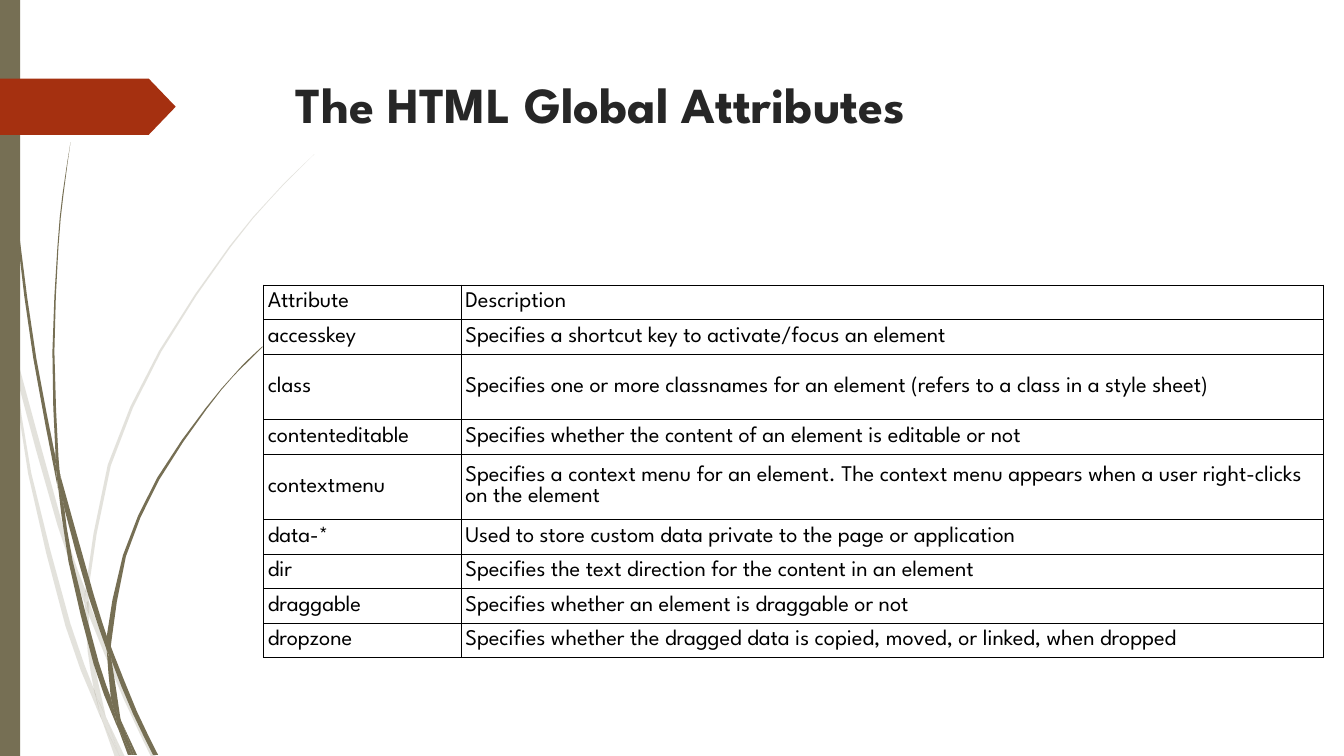
from pptx import Presentation
from pptx.dml.color import RGBColor
from pptx.enum.shapes import MSO_SHAPE
from pptx.enum.text import MSO_ANCHOR, PP_ALIGN
from pptx.oxml.ns import qn
from pptx.util import Cm, Pt
from lxml.etree import SubElement

OLIVE = RGBColor(0x76, 0x6F, 0x54)
RED = RGBColor(0xA5, 0x30, 0x10)
DARK = RGBColor(0x26, 0x26, 0x26)
BLACK = RGBColor(0, 0, 0)
FONT = "League Spartan"

# Each piece of grass has an edge out and an edge back, on a grid 750 units high
PALE_GRASS = [
    ([(0, 299), (10, 344), (11, 350)], [(8, 322), (0, 282)]),
    ([(14, 345), (17, 376), (57, 521), (84, 599)], [(85, 586), (62, 520), (14, 345)]),
    ([(88, 596), (88, 610), (123, 694), (150, 751)], [(155, 751), (127, 692), (92, 607)]),
    ([(105, 711), (119, 751)], [(124, 751), (105, 711)]),
    ([(11, 350), (28, 470), (65, 621), (92, 693), (101, 714)],
     [(99, 707), (93, 683), (70, 619), (31, 469), (17, 376)]),
    ([(84, 599), (87, 646), (93, 683), (96, 692), (105, 711)],
     [(104, 706), (91, 646), (88, 610), (88, 608)]),
    ([(312, 153), (289, 175), (268, 197), (228, 244), (158, 348), (107, 461), (85, 584),
      (85, 586), (88, 596)],
     [(88, 584), (110, 462), (160, 349), (229, 245), (268, 198), (290, 175), (312, 153)]),
    ([(101, 714), (114, 751)], [(119, 751), (101, 714)]),
    ([(85, 586), (84, 599), (88, 608)], [(88, 610), (88, 596)]),
    ([(93, 683), (99, 707), (101, 714), (119, 751)], [(119, 751), (105, 711), (96, 692)]),
]
DARK_GRASS = [
    ([(3, 0), (3, 48), (7, 110), (17, 233), (33, 355), (56, 477), (57, 481)],
     [(55, 457), (55, 453), (36, 355), (19, 232), (8, 109), (5, 48), (3, 0)]),
    ([(60, 472), (64, 505), (88, 592), (106, 645)], [(106, 633), (106, 631), (93, 590), (60, 472)]),
    ([(110, 641), (111, 656), (132, 708), (152, 749)], [(157, 749), (136, 706), (113, 649)]),
    ([(57, 477), (68, 557), (93, 659), (111, 708), (117, 722)],
     [(116, 717), (110, 692), (98, 657), (72, 556), (64, 505)]),
    ([(70, 141), (62, 193), (57, 245), (52, 349), (55, 449), (60, 471)],
     [(60, 472), (58, 453), (54, 349), (58, 245), (63, 193), (70, 141)]),
    ([(122, 719), (133, 749)], [(136, 749), (122, 719)]),
    ([(55, 449), (55, 454), (57, 478), (64, 505)], [(60, 472), (55, 449)]),
    ([(260, 344), (245, 358), (231, 373), (204, 405), (156, 474), (122, 551), (106, 631),
      (110, 641)],
     [(111, 633), (125, 552), (158, 476), (205, 406), (231, 374), (246, 359), (261, 344)]),
    ([(117, 722), (127, 749)], [(131, 749), (117, 722)]),
    ([(106, 645), (110, 692), (116, 706), (121, 719)], [(120, 716), (111, 657), (108, 651)]),
    ([(106, 631), (106, 645), (111, 656)], [(110, 641), (106, 631)]),
    ([(110, 692), (116, 717), (117, 722), (131, 749)], [(133, 749), (122, 719), (116, 706)]),
]

ATTRIBUTES = [
    ("Attribute", "Description"),
    ("accesskey", "Specifies a shortcut key to activate/focus an element"),
    ("class", "Specifies one or more classnames for an element (refers to a class in a style sheet)"),
    ("contenteditable", "Specifies whether the content of an element is editable or not"),
    ("contextmenu", "Specifies a context menu for an element. The context menu appears "
                    "when a user right-clicks on the element"),
    ("data-*", "Used to store custom data private to the page or application"),
    ("dir", "Specifies the text direction for the content in an element"),
    ("draggable", "Specifies whether an element is draggable or not"),
    ("dropzone", "Specifies whether the dragged data is copied, moved, or linked, when dropped"),
]
TALL_ROWS = ("class", "contextmenu")


def write(tf, text, size=16, color=BLACK, bold=False):
    tf.word_wrap = True
    p = tf.paragraphs[0]
    p.alignment = PP_ALIGN.LEFT
    r = p.add_run()
    r.text = text
    r.font.name, r.font.size, r.font.bold = FONT, Pt(size), bold
    r.font.color.rgb = color


def paint(sp, color, alpha=None):
    sp.shadow.inherit = False
    sp.fill.solid()
    sp.fill.fore_color.rgb = color
    sp.line.fill.background()
    if alpha is not None:
        clr = sp.fill._xPr.find(qn("a:solidFill"))[0]
        SubElement(clr, qn("a:alpha"), val=str(alpha * 1000))


def smooth(points):
    """Catmull-Rom curve: one point added midway on each stretch."""
    knots = [points[0], *points, points[-1]]
    curve = []
    for a, b, c, d in zip(knots, knots[1:], knots[2:], knots[3:]):
        curve += [b, tuple((9 * (q + s) - p - u) / 16 for p, q, s, u in zip(a, b, c, d))]
    return curve + [points[-1]]


def add_grass(slide, left, top, height, pieces, alpha=None):
    unit = height / 750
    for out, back in pieces:
        outline = [(round(left + x * unit), round(top + y * unit))
                   for x, y in smooth(out) + smooth(back)]
        fb = slide.shapes.build_freeform(*outline[0])
        fb.add_line_segments(outline[1:], close=True)
        paint(fb.convert_to_shape(), OLIVE, alpha)


def add_side_decoration(slide, left, top, height):
    add_grass(slide, left, top, height, PALE_GRASS, alpha=20)
    add_grass(slide, left, top, height, DARK_GRASS)
    # Edge bar and red tab
    bar = slide.shapes.add_shape(MSO_SHAPE.RECTANGLE, left, top, Cm(0.51), height)
    paint(bar, OLIVE)
    tab = slide.shapes.add_shape(MSO_SHAPE.PENTAGON, left, top + Cm(1.98), Cm(4.43), Cm(1.42))
    tab.adjustments[0] = 0.48
    paint(tab, RED)


def add_title(slide, left, top, width, height):
    sp = slide.shapes.title
    sp.left, sp.top, sp.width, sp.height = left, top, width, height
    sp.text_frame.vertical_anchor = MSO_ANCHOR.TOP
    write(sp.text_frame, "The HTML Global Attributes", size=36, color=DARK, bold=True)


def add_borders(cell):
    tcPr = cell._tc.get_or_add_tcPr()
    for side in ("lnL", "lnR", "lnT", "lnB"):
        ln = SubElement(tcPr, qn(f"a:{side}"), w=str(Pt(0.45)))
        SubElement(SubElement(ln, qn("a:solidFill")), qn("a:srgbClr"), val=str(BLACK))


def add_attribute_table(slide, left, top, width):
    heights = [Cm(1.65) if name in TALL_ROWS else Cm(0.87) for name, _ in ATTRIBUTES]
    table = slide.shapes.add_table(len(ATTRIBUTES), 2, left, top, width, sum(heights)).table
    table.first_row = table.horz_banding = False
    table.columns[0].width = Cm(4.98)
    table.columns[1].width = width - Cm(4.98)
    for row, height, texts in zip(table.rows, heights, ATTRIBUTES):
        row.height = height
        for cell, text in zip(row.cells, texts):
            cell.margin_left = cell.margin_right = Cm(0.11)
            cell.margin_top = cell.margin_bottom = Cm(0.12)
            cell.vertical_anchor = MSO_ANCHOR.MIDDLE
            add_borders(cell)
            cell.fill.background()
            write(cell.text_frame, text)


def main():
    prs = Presentation()
    prs.slide_width, prs.slide_height = Cm(33.88), Cm(19.05)
    slide = prs.slides.add_slide(prs.slide_layouts[5])
    add_side_decoration(slide, 0, 0, prs.slide_height)
    add_title(slide, Cm(7.2), Cm(1.72), Cm(24.77), Cm(3.56))
    add_attribute_table(slide, Cm(6.64), Cm(7.18), Cm(26.73))
    prs.save("out.pptx")


if __name__ == "__main__":
    main()
